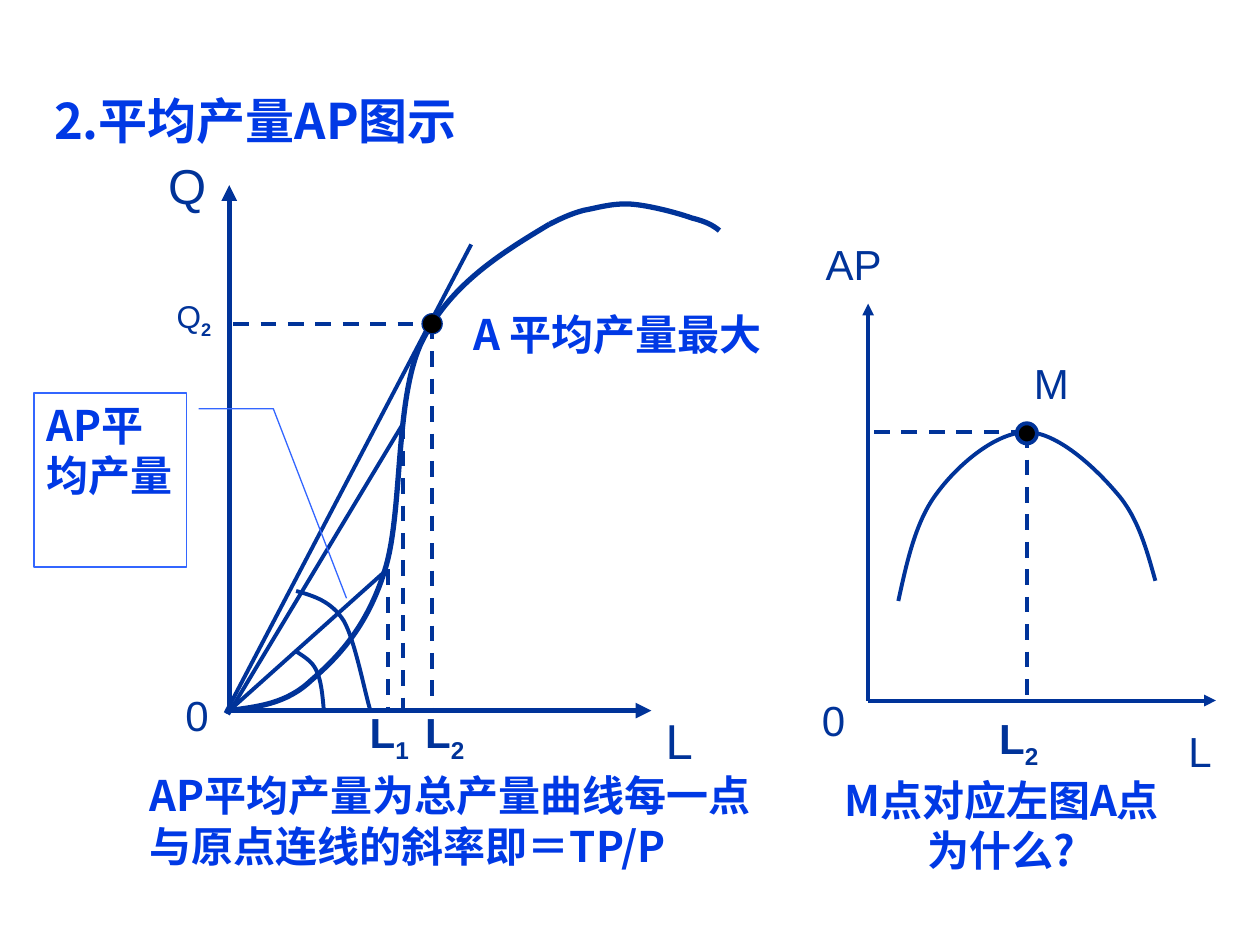
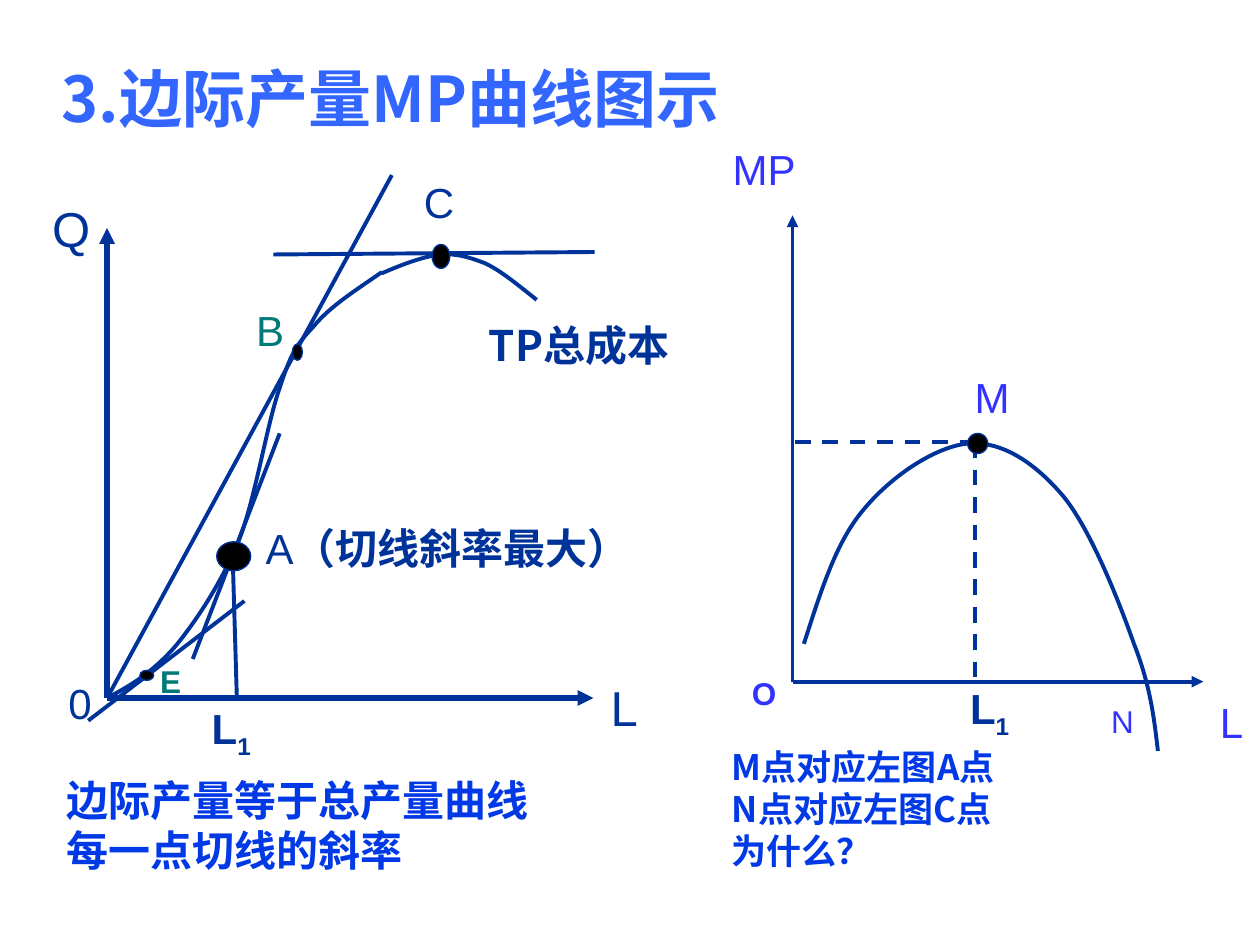
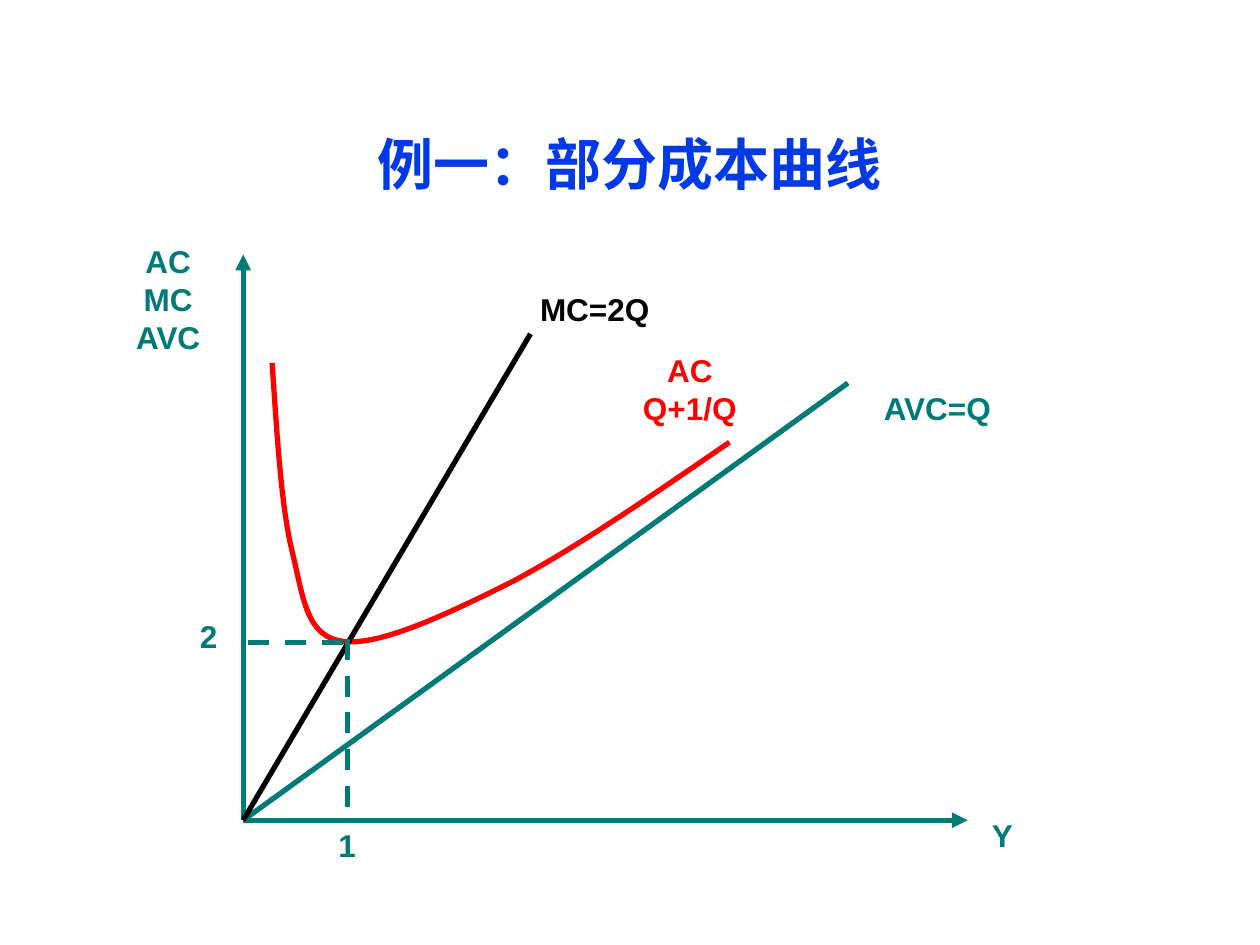
from dataclasses import dataclass

from lxml.etree import SubElement
from pptx import Presentation
from pptx.dml.color import RGBColor
from pptx.enum.dml import MSO_LINE
from pptx.enum.shapes import MSO_CONNECTOR, MSO_SHAPE
from pptx.enum.text import MSO_ANCHOR as Anchor, MSO_AUTO_SIZE, PP_ALIGN as Align
from pptx.oxml.ns import qn
from pptx.util import Pt

PX = 9144


@dataclass(frozen=True)
class Theme:
    navy: str = "003399"
    blue: str = "0039E5"
    sky: str = "3366FF"
    violet: str = "3333FF"
    teal: str = "007A77"
    red: str = "FF0000"
    black: str = "000000"
    latin: str = "Arial"
    chinese: str = "Noto Sans CJK SC"
    huge: int = 36
    title: int = 32
    large: int = 28
    body: int = 24
    note: int = 20
    small: int = 18
    thick: float = 3
    medium: float = 2.25
    thin: float = 0.75


theme = Theme()


def write(frame, text, size=theme.body, color=theme.navy, font=theme.latin, bold=False,
          align=Align.CENTER, anchor=Anchor.MIDDLE, wrap=False, end="", drop=0):
    frame.auto_size = MSO_AUTO_SIZE.NONE
    frame.word_wrap = wrap
    frame.vertical_anchor = anchor
    for index, row in enumerate(text.split("\n")):
        para = frame.add_paragraph() if index else frame.paragraphs[0]
        para.alignment = align
        pieces = [(row, bold, 0)] + ([(end, True, drop)] if end else [])
        for piece, heavy, baseline in pieces:
            span = para.add_run()
            span.text = piece
            span.font.size = Pt(size)
            span.font.bold = heavy
            span.font.name = font
            span.font.color.rgb = RGBColor.from_string(color)
            properties = span.font._element
            SubElement(properties, qn("a:ea")).set("typeface", theme.chinese)
            if baseline:
                properties.set("baseline", str(baseline))


def outline(line, color, width):
    line.color.rgb = RGBColor.from_string(color)
    line.width = Pt(width)


symbol = dict(size=theme.body)
axis_name = dict(size=theme.large)
caption = dict(color=theme.blue, font=theme.chinese, bold=True, align=Align.LEFT)
violet = dict(color=theme.violet)
cost_label = dict(size=theme.small, color=theme.teal, bold=True)
labor_1 = dict(bold=True, end="1", drop=-25000)
labor_2 = labor_1 | dict(end="2")

average_product = dict(
    title=("2.平均产量AP图示", (33, 67, 592, 56), theme.large, theme.blue, Align.LEFT),
    curves=[
        (theme.navy, theme.thick, (182, 564), [
            (204, 561, 227, 559, 247, 540), (268, 522, 291, 498, 305, 454),
            (320, 409, 313, 319, 334, 273), (356, 227, 396, 202, 436, 178)]),
        (theme.navy, theme.thick, (436, 178), [
            (444, 174, 452, 170, 463, 167), (474, 165, 486, 161, 501, 162),
            (515, 163, 538, 169, 549, 173), (561, 176, 566, 179, 571, 183)]),
        (theme.navy, theme.medium, (235, 517), [
            (241, 521, 248, 525, 251, 532), (255, 540, 256, 552, 257, 564)]),
        (theme.navy, theme.medium, (235, 469), [
            (249, 473, 263, 477, 273, 493), (282, 509, 290, 552, 294, 564)]),
        (theme.navy, theme.medium, (713, 477), [
            (720, 445, 727, 413, 744, 391), (761, 368, 791, 343, 815, 343),
            (839, 343, 869, 371, 886, 391), (903, 410, 910, 436, 917, 461)]),
    ],
    lines=[
        ("axis", theme.navy, theme.thick, [(182, 564, 517, 564), (182, 564, 182, 147)]),
        ("axis", theme.navy, theme.medium, [(689, 556, 965, 556), (689, 556, 689, 241)]),
        ("ray", theme.navy, theme.medium, [
            (182, 564, 305, 454), (181, 567, 320, 336), (179, 566, 374, 194)]),
        ("dash", theme.navy, theme.medium, [
            (308, 452, 308, 563), (320, 336, 320, 564), (343, 257, 343, 564),
            (185, 257, 335, 257), (815, 343, 815, 556), (815, 343, 689, 343)]),
    ],
    dots=[(335, 249, 16, 16, theme.thin), (807, 336, 16, 16, theme.medium)],
    ovals=[],
    labels=[
        (109, 609, 378, 84, "AP平均产量为总产量曲线每一点\n与原点连线的斜率即＝TP/P", caption),
        (131, 540, 51, 55, "0", symbol),
        (517, 564, 44, 47, "L", axis_name),
        (123, 115, 51, 63, "Q", axis_name),
        (335, 548, 36, 71, "L", labor_2),
        (291, 548, 36, 71, "L", labor_1),
        (138, 233, 32, 39, "Q", dict(size=theme.small, end="2", drop=-25000)),
        (650, 186, 55, 47, "AP", symbol),
        (925, 572, 55, 47, "L", symbol),
        (642, 548, 39, 47, "0", symbol),
        (815, 280, 39, 47, "M", symbol),
        (366, 241, 197, 47, "A 平均产量最大", caption),
        (665, 619, 260, 71, "M点对应左图A点\n为什么?", caption | dict(align=Align.CENTER)),
        (789, 555, 39, 67, "L", labor_2),
    ],
)

marginal_product = dict(
    title=("3.边际产量MP曲线图示", (39, 39, 900, 77), theme.huge, theme.sky, Align.LEFT),
    curves=[
        (theme.navy, theme.medium, (85, 554), [
            (104, 544, 122, 533, 140, 512), (157, 491, 176, 462, 190, 428),
            (203, 394, 212, 336, 222, 308), (231, 280, 235, 274, 249, 259),
            (262, 243, 283, 230, 303, 216)]),
        (theme.navy, theme.medium, (303, 217), [
            (319, 210, 335, 204, 349, 202), (362, 201, 372, 204, 385, 209),
            (398, 215, 412, 227, 426, 238)]),
        (theme.navy, theme.medium, (638, 511), [
            (651, 471, 663, 431, 685, 405), (707, 378, 743, 354, 769, 352),
            (796, 350, 822, 368, 844, 394), (866, 421, 888, 477, 900, 511),
            (913, 544, 916, 570, 919, 596)]),
    ],
    lines=[
        ("axis", theme.navy, theme.thick, [(85, 554, 471, 554), (85, 554, 85, 181)]),
        ("axis", theme.navy, theme.medium, [(629, 541, 955, 541), (629, 541, 629, 171)]),
        ("ray", theme.navy, theme.medium, [
            (85, 554, 311, 139), (153, 523, 222, 344), (217, 202, 472, 200),
            (70, 572, 194, 477), (185, 453, 188, 555)]),
        ("dash", theme.navy, theme.medium, [(774, 351, 774, 541), (774, 351, 629, 351)]),
    ],
    dots=[
        (172, 430, 27, 23, theme.thin), (232, 273, 8, 13, theme.thin),
        (343, 194, 14, 19, theme.thin), (111, 532, 11, 8, theme.thin),
        (768, 344, 16, 16, theme.thin)],
    ovals=[
        (125, 525, 21, 31, "E", cost_label),
        (575, 532, 63, 36, "O", violet | dict(size=theme.small, bold=True)),
    ],
    labels=[
        (43, 611, 433, 87, "边际产量等于总产量曲线\n每一点切线的斜率", caption),
        (42, 533, 43, 49, "0", symbol),
        (477, 540, 37, 42, "L", axis_name),
        (35, 153, 43, 56, "Q", axis_name),
        (414, 249, 91, 49, "TP总成本",
         caption | dict(color=theme.navy, align=Align.CENTER)),
        (201, 414, 138, 42, "A", dict(align=Align.LEFT, end="（切线斜率最大）")),
        (335, 139, 27, 42, "C", symbol),
        (201, 241, 27, 42, "B", dict(color=theme.teal)),
        (571, 580, 362, 123, "M点对应左图A点\nN点对应左图C点\n为什么？",
         caption | dict(size=theme.note)),
        (575, 107, 63, 54, "MP", violet),
        (955, 550, 45, 45, "L", violet),
        (756, 288, 63, 54, "M", violet),
        (873, 550, 36, 45, "N", violet | dict(size=theme.small)),
        (164, 547, 39, 67, "L", labor_1),
        (766, 531, 39, 67, "L", labor_1),
    ],
)

cost_curves = dict(
    title=("例一：部分成本曲线", (33, 67, 934, 125), theme.title, theme.blue, Align.CENTER),
    curves=[
        (theme.red, theme.thick, (216, 288), [
            (220, 345, 223, 401, 232, 438), (241, 475, 243, 505, 272, 509),
            (301, 513, 354, 488, 406, 462), (457, 435, 518, 393, 579, 351)]),
    ],
    lines=[
        ("axis", theme.teal, theme.thick, [(193, 651, 768, 651), (193, 651, 193, 202)]),
        ("ray", theme.teal, theme.thick, [(193, 651, 673, 304)]),
        ("ray", theme.black, theme.thick, [(193, 651, 421, 265)]),
        ("dash", theme.teal, theme.thick, [(276, 507, 276, 649), (272, 510, 193, 510)]),
    ],
    dots=[],
    ovals=[],
    labels=[
        (776, 643, 39, 39, "Y", cost_label),
        (256, 651, 39, 39, "1", cost_label),
        (146, 485, 39, 39, "2", cost_label),
        (681, 304, 126, 39, "AVC=Q", cost_label),
        (508, 273, 79, 71, "AC\nQ+1/Q", cost_label | dict(color=theme.red)),
        (421, 218, 102, 55, "MC=2Q", cost_label | dict(color=theme.black)),
        (98, 186, 71, 102, "AC\nMC\nAVC", cost_label),
    ],
)

deck = Presentation()
deck.slide_width, deck.slide_height = 1000 * PX, 750 * PX
title_only = deck.slide_layouts[5]

for content in (average_product, marginal_product, cost_curves):
    page = deck.slides.add_slide(title_only)
    shapes = page.shapes

    text, place, size, color, align = content["title"]
    title = shapes.title
    title.left, title.top, title.width, title.height = [n * PX for n in place]
    write(title.text_frame, text, size=size, color=color, font=theme.chinese,
          bold=True, align=align, wrap=True)

    for color, width, start, segments in content["curves"]:
        knots = [segment[4:] for segment in segments]
        builder = shapes.build_freeform(*start, scale=PX)
        builder.add_line_segments(knots, close=False)
        curve = builder.convert_to_shape()
        left, top = [min(values) for values in zip(start, *knots)]
        bends = list(curve._element.iter(qn("a:lnTo")))
        for bend, (x1, y1, x2, y2, *_) in zip(bends, segments):
            bend.tag = qn("a:cubicBezTo")
            knot = bend[0]
            for x, y in ((x1, y1), (x2, y2)):
                control = SubElement(bend, qn("a:pt"))
                control.set("x", str(x - left))
                control.set("y", str(y - top))
            bend.append(knot)
        curve.shadow.inherit = False
        curve.fill.background()
        outline(curve.line, color, width)

    for kind, color, width, ends in content["lines"]:
        for end_points in ends:
            connector = shapes.add_connector(
                MSO_CONNECTOR.STRAIGHT, *[n * PX for n in end_points])
            outline(connector.line, color, width)
            properties = connector._element.spPr
            if kind == "dash":
                connector.line.dash_style = MSO_LINE.DASH
            if kind == "axis":
                stroke = properties.find(qn("a:ln"))
                SubElement(stroke, qn("a:tailEnd")).set("type", "triangle")
            SubElement(properties, qn("a:effectLst"))

    for *place, width in content["dots"]:
        dot = shapes.add_shape(MSO_SHAPE.OVAL, *[n * PX for n in place])
        dot.shadow.inherit = False
        dot.fill.solid()
        dot.fill.fore_color.rgb = RGBColor.from_string(theme.black)
        outline(dot.line, theme.navy, width)

    for *place, text, style in content["ovals"]:
        oval = shapes.add_shape(MSO_SHAPE.OVAL, *[n * PX for n in place])
        oval.shadow.inherit = False
        oval.fill.background()
        oval.line.fill.background()
        write(oval.text_frame, text, **style)

    for *place, text, style in content["labels"]:
        box = shapes.add_textbox(*[n * PX for n in place])
        write(box.text_frame, text, **style)

callout = deck.slides[0].shapes.add_shape(
    MSO_SHAPE.LINE_CALLOUT_2, 27 * PX, 312 * PX, 121 * PX, 138 * PX)
for index, value in enumerate((0.09, 1.08, 0.09, 1.57, 1.18, 2.05)):
    callout.adjustments[index] = value
callout.shadow.inherit = False
callout.fill.background()
outline(callout.line, theme.sky, theme.thin)
write(callout.text_frame, "AP平均产量", **caption, anchor=Anchor.TOP, wrap=True)

deck.save("out.pptx")
